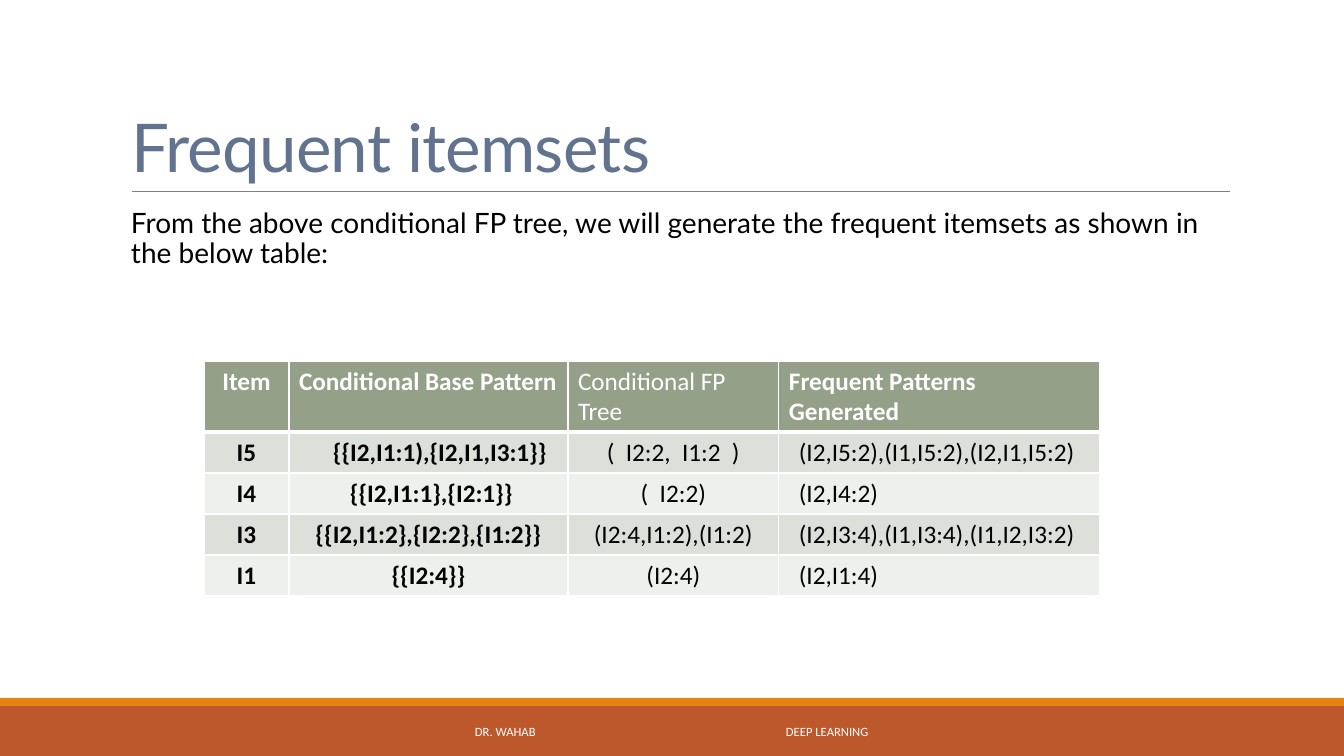
"""Build the slide on frequent itemsets with its table of patterns."""
from lxml import etree
from pptx import Presentation, util as u
from pptx.dml.color import RGBColor
from pptx.enum import shapes, text
from pptx.oxml.ns import qn

PX = 914400 / 100.8
WIDTH, HEIGHT = 1344, 756
LEFT, CENTER = text.PP_ALIGN.LEFT, text.PP_ALIGN.CENTER

TITLE = "Frequent itemsets"
INTRO = ("From the above conditional FP tree, we will generate the frequent "
         "itemsets as shown in the below table:")
FOOTER = "DR. WAHAB\tDEEP LEARNING"
ROWS = [
    ("Item", "Conditional Base Pattern", "Conditional FP Tree", "Frequent Patterns Generated"),
    ("I5", "{{I2,I1:1),{I2,I1,I3:1}}", "(  I2:2,  I1:2  )", "(I2,I5:2),(I1,I5:2),(I2,I1,I5:2)"),
    ("I4", "{{I2,I1:1},{I2:1}}", "(  I2:2)", "(I2,I4:2)"),
    ("I3", "{{I2,I1:2},{I2:2},{I1:2}}", "(I2:4,I1:2),(I1:2)", "(I2,I3:4),(I1,I3:4),(I1,I2,I3:2)"),
    ("I1", "{{I2:4}}", "(I2:4)", "(I2,I1:4)"),
]
COLUMN_WIDTHS = [85, 279, 211, 321]
ROW_HEIGHTS = [71, 41, 41, 41, 41]
ROW_FILLS = ["94A088", "DCDFDA", "EEF0ED", "DCDFDA", "EEF0ED"]
PATTERN_INDENTS = {(1, 1): 44, (2, 1): 61}
BANDS = [(706, 50, "BD582C"), (698, 8, "E48312")]


def px(length):
    return u.Emu(round(length * PX))


def color(value):
    return RGBColor.from_string(value)


def style(paragraph, font, size, value, align=LEFT, bold=False):
    paragraph.alignment = align
    paragraph.font.name = font
    paragraph.font.size = u.Pt(size)
    paragraph.font.bold = bold
    paragraph.font.color.rgb = color(value)


def place(shape, left, top, width, height):
    shape.left, shape.top, shape.width, shape.height = map(px, (left, top, width, height))


def add_background(slide):
    for top, height, fill in BANDS:
        band = slide.shapes.add_shape(shapes.MSO_SHAPE.RECTANGLE, 0, px(top), px(WIDTH), px(height))
        band.shadow.inherit = False
        band.fill.solid()
        band.fill.fore_color.rgb = color(fill)
        band.line.fill.background()
    rule = slide.shapes.add_connector(shapes.MSO_CONNECTOR.STRAIGHT, px(132), px(191), px(1230), px(191))
    rule.line.color.rgb = color("808080")
    rule.line.width = u.Pt(0.5)
    etree.SubElement(rule._element.spPr, qn("a:effectLst"))


def add_heading(slide):
    title, body = slide.placeholders
    place(title, 121, 31, 1109, 160)
    place(body, 121, 204, 1109, 444)
    for shape, words in ((title, TITLE), (body, INTRO)):
        shape.text_frame.text = words
        shape.text_frame.auto_size = text.MSO_AUTO_SIZE.NONE

    title.text_frame.vertical_anchor = text.MSO_ANCHOR.BOTTOM
    heading = title.text_frame.paragraphs[0]
    style(heading, "Lato", 48, "61738E")
    heading.line_spacing = 0.85
    heading.runs[0].font._element.set("spc", "-50")

    body.text_frame.margin_left = body.text_frame.margin_right = 0
    intro = body.text_frame.paragraphs[0]
    style(intro, "Lato", 20, "000000")
    intro.line_spacing = 0.9
    intro.space_before, intro.space_after = u.Pt(12), u.Pt(2)
    properties = intro._p.get_or_add_pPr()
    properties.set("marL", str(px(10)))
    properties.set("indent", "0")
    properties.insert_element_before(
        etree.Element(qn("a:buNone")), "a:tabLst", "a:defRPr", "a:extLst")


def add_footer(slide):
    footer = slide.shapes.add_textbox(px(406), px(712), px(531), px(40))
    frame = footer.text_frame
    frame.word_wrap = True
    frame.vertical_anchor = text.MSO_ANCHOR.MIDDLE
    frame.margin_left = px(69)
    frame.text = FOOTER
    style(frame.paragraphs[0], "Calibri", 9, "FFFFFF")
    tabs = etree.Element(qn("a:tabLst"))
    etree.SubElement(tabs, qn("a:tab"), pos=str(px(311)), algn="l")
    frame.paragraphs[0]._p.get_or_add_pPr().insert_element_before(tabs, "a:defRPr", "a:extLst")


def add_borders(cell, row):
    properties = cell._tc.get_or_add_tcPr()
    widths = {"L": 1, "R": 1, "T": 3 if row == 1 else 1, "B": 3 if row == 0 else 1}
    for side, width in widths.items():
        line = etree.SubElement(properties, qn(f"a:ln{side}"), w=str(u.Pt(width)))
        fill = etree.SubElement(line, qn("a:solidFill"))
        etree.SubElement(fill, qn("a:srgbClr"), val="FFFFFF")


def add_table(slide):
    frame = slide.shapes.add_table(len(ROWS), len(COLUMN_WIDTHS), px(204), px(361),
                                   px(sum(COLUMN_WIDTHS)), px(sum(ROW_HEIGHTS)))
    table = frame.table
    for column, width in zip(table.columns, COLUMN_WIDTHS):
        column.width = px(width)
    for row, words in enumerate(ROWS):
        table.rows[row].height = px(ROW_HEIGHTS[row])
        for column, word in enumerate(words):
            cell = table.cell(row, column)
            cell.text = word
            add_borders(cell, row)
            cell.fill.solid()
            cell.fill.fore_color.rgb = color(ROW_FILLS[row])
            header = row == 0
            indent = PATTERN_INDENTS.get((row, column), 20 if column == 3 and not header else 0)
            if indent:
                cell.margin_left = px(indent)
            centered = column == 0 or not (header or indent)
            style(cell.text_frame.paragraphs[0], "Calibri", 18, "FFFFFF" if header else "000000",
                  CENTER if centered else LEFT, column < 2 or (header and column == 3))


def main():
    presentation = Presentation()
    presentation.slide_width, presentation.slide_height = px(WIDTH), px(HEIGHT)
    slide = presentation.slides.add_slide(presentation.slide_layouts[1])
    add_background(slide)
    add_heading(slide)
    add_footer(slide)
    add_table(slide)
    presentation.save("out.pptx")


if __name__ == "__main__":
    main()
